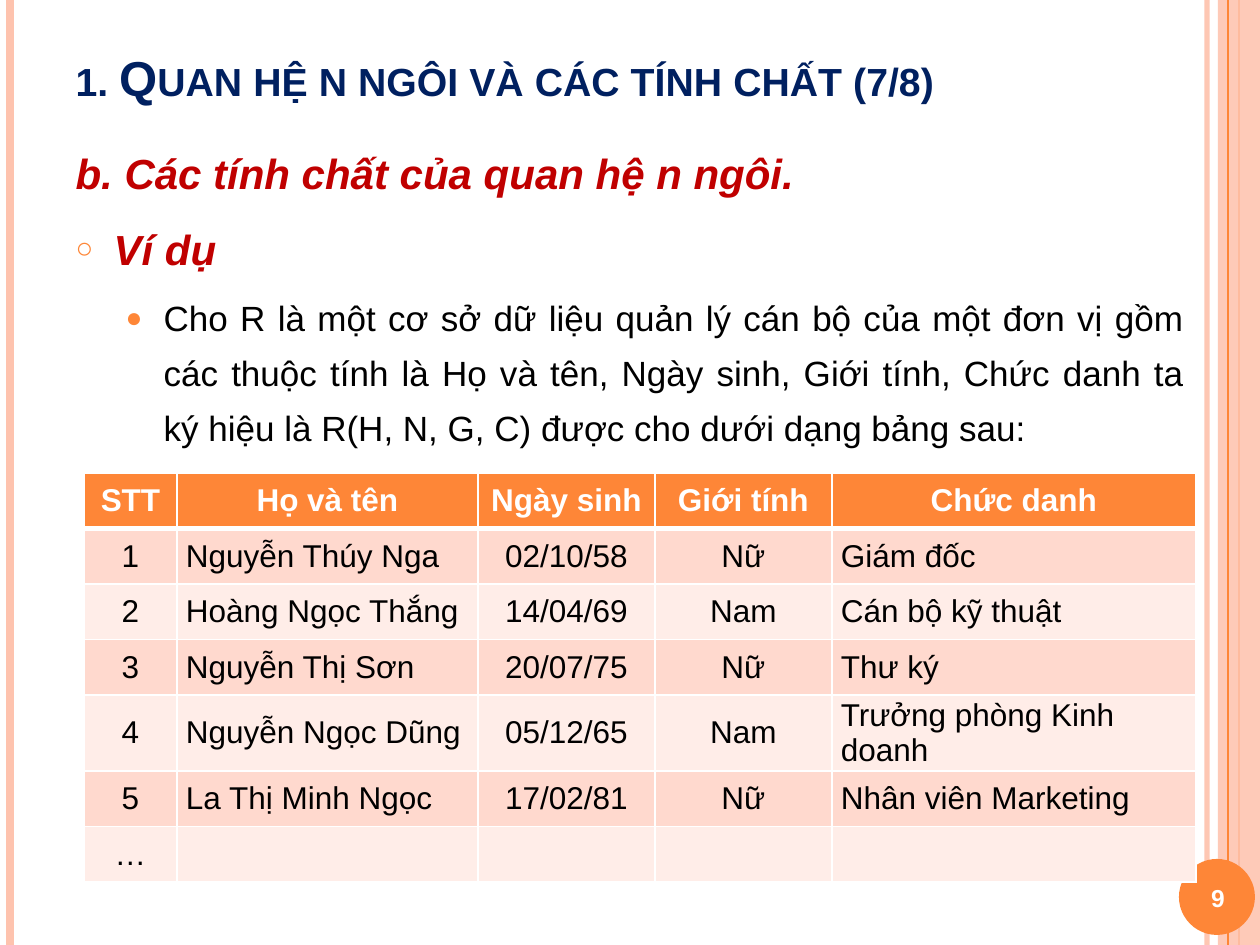
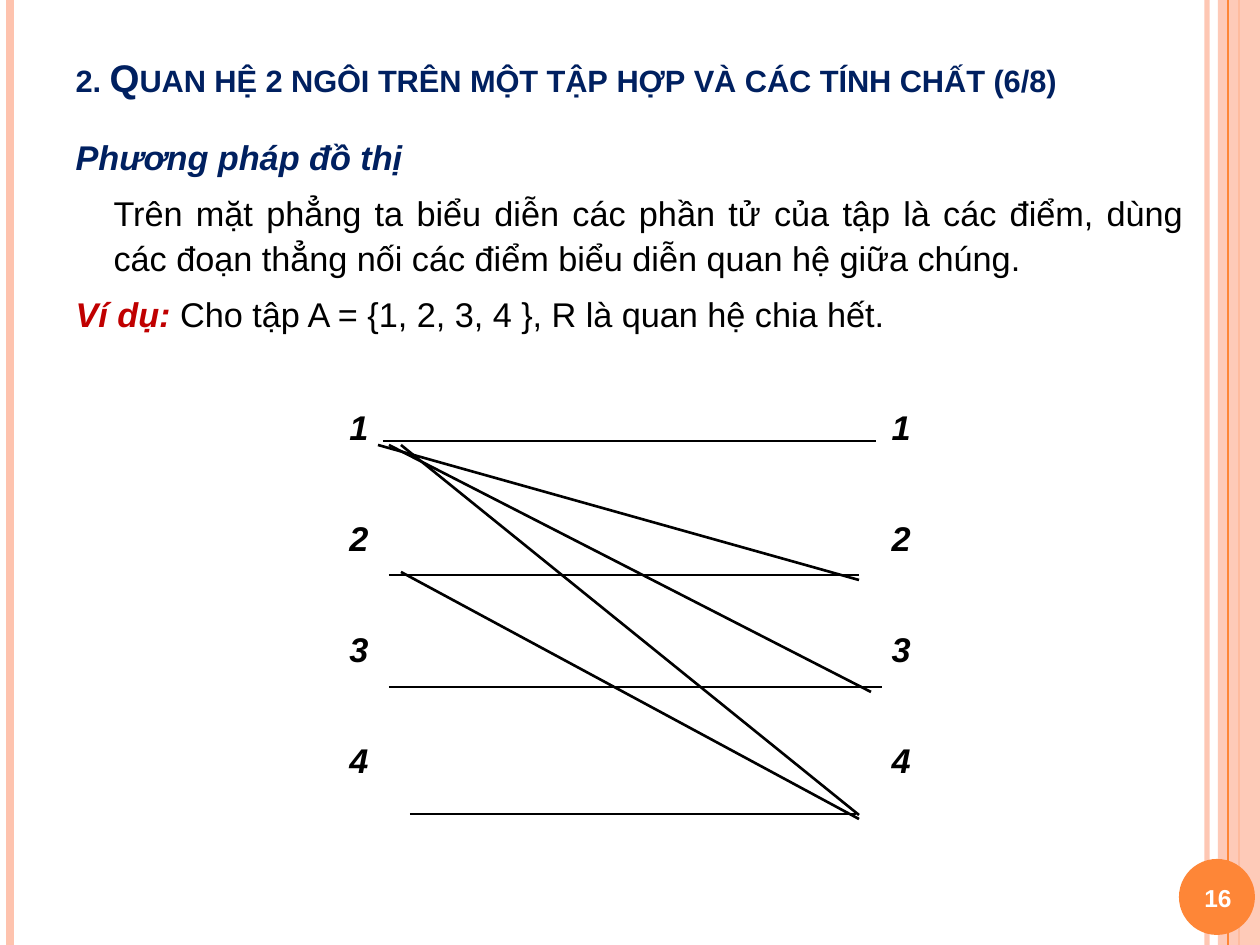
import pptx
import pptx.util
import pptx.dml.color
import pptx.enum.shapes
import pptx.enum.text
import pptx.oxml.ns
import lxml.etree

FONT = "Arial"
NAVY, RED, BLACK, WHITE = "002060", "C00000", "000000", "FFFFFF"
ORANGE, PEACH = "FE8637", "FEC3AE"
ROW_FILLS = ("FFEDE8", "FFD9CE")
SLIDE_WIDTH, SLIDE_HEIGHT = 1260, 945
PIXELS_PER_INCH = 126

TITLE_BOX = (63, 38, 1134, 78)
BODY_BOX = (63, 126, 1134, 766)
NUMBER_BOX = (1176, 862, 84, 72)
BADGE_BOX = (1179, 859, 76, 76)
SIDE_BAND_BOX = (1218, 0, 42, SLIDE_HEIGHT)
RULES_BEHIND_BAND = [(1207, PEACH, 3, 93), (10, PEACH, 4.5, 100), (1239, ORANGE, 1.5, 100)]
RULE_ON_BAND = (1228, ORANGE, 0.75, 100)

ALIGN = pptx.enum.text.PP_ALIGN
MIDDLE = pptx.enum.text.MSO_ANCHOR.MIDDLE
SHAPE = pptx.enum.shapes.MSO_SHAPE

HEADING = dict(size=24, color=RED, bold=True, italic=True)
PLAIN = dict(size=20, color=BLACK)
GRAPH_TEXT = dict(size=19.6, color=BLACK)
GRAPH_STRONG = dict(size=19.6, bold=True, italic=True)

RELATION = {
    "title": ("1. Quan hệ n ngôi và các tính chất (7/8)", 28),
    "number": "9",
    "line_spacing": 1.3,
    "body": [
        dict(runs=[("b. Các tính chất của quan hệ n ngôi.", HEADING)], left=38, hang=-38),
        dict(runs=[("Ví dụ", HEADING)], left=38, hang=-38, bullet=("○", 70)),
        dict(runs=[("Cho R là một cơ sở dữ liệu quản lý cán bộ của một đơn vị gồm các thuộc "
                    "tính là Họ và tên, Ngày sinh, Giới tính, Chức danh ta ký hiệu là "
                    "R(H, N, G, C) được cho dưới dạng bảng sau:", PLAIN)],
             left=88, hang=-38, level=1, bullet=("●", 80)),
    ],
}
STAFF_ROWS = [
    ("STT", "Họ và tên", "Ngày sinh", "Giới tính", "Chức danh"),
    ("1", "Nguyễn Thúy Nga", "02/10/58", "Nữ", "Giám đốc"),
    ("2", "Hoàng Ngọc Thắng", "14/04/69", "Nam", "Cán bộ kỹ thuật"),
    ("3", "Nguyễn Thị Sơn", "20/07/75", "Nữ", "Thư ký"),
    ("4", "Nguyễn Ngọc Dũng", "05/12/65", "Nam", "Trưởng phòng Kinh doanh"),
    ("5", "La Thị Minh Ngọc", "17/02/81", "Nữ", "Nhân viên Marketing"),
    ("…", "", "", "", ""),
]
STAFF_WIDTHS = (93, 301, 177, 177, 364)
STAFF_LEFT, STAFF_TOP, STAFF_HEIGHT = 84, 473, 389
LEFT_ALIGNED_COLUMNS = (1, 4)

GRAPH = {
    "title": ("2. Quan hệ 2 ngôi trên một tập hợp và các tính chất (6/8)", 22),
    "number": "16",
    "line_spacing": 1.1,
    "body": [
        dict(runs=[("Phương pháp đồ thị", dict(GRAPH_STRONG, color=NAVY))], left=38, hang=-38),
        dict(runs=[("Trên mặt phẳng ta biểu diễn các phần tử của tập là các điểm, dùng các đoạn "
                    "thẳng nối các điểm biểu diễn quan hệ giữa chúng.", GRAPH_TEXT)],
             left=38, hang=0),
        dict(runs=[("Ví dụ: ", dict(GRAPH_STRONG, color=RED)),
                   ("Cho tập A = {1, 2, 3, 4 }, R là quan hệ chia hết.", GRAPH_TEXT)],
             left=38, hang=-38),
    ],
}
ELEMENTS = ("1", "2", "3", "4")
ELEMENT_CENTERS_X = (359, 901)
FIRST_ELEMENT_Y, ELEMENT_STEP, ELEMENT_SIZE = 427, 111, 44
EDGES = [
    (383, 441, 876, 441), (378, 445, 859, 580), (389, 445, 871, 692), (401, 445, 859, 815),
    (389, 575, 859, 575), (401, 572, 859, 819), (389, 687, 882, 687), (410, 814, 856, 814),
]


def px(length):
    return pptx.util.Emu(round(length * 914400 / PIXELS_PER_INCH))


def rgb(value):
    return pptx.dml.color.RGBColor.from_string(value)


def add_xml(parent, tag, **attributes):
    return lxml.etree.SubElement(parent, pptx.oxml.ns.qn(tag), attributes)


def set_opacity(fill_owner, percent):
    if percent < 100:
        color = next(fill_owner.iter(pptx.oxml.ns.qn("a:srgbClr")))
        add_xml(color, "a:alpha", val=str(percent * 1000))


def add_run(paragraph, text, size=18, color=BLACK, bold=False, italic=False, small_caps=False):
    run = paragraph.add_run()
    run.text = text
    font = run.font
    font.name, font.size, font.bold, font.italic = FONT, pptx.util.Pt(size), bold, italic
    font.color.rgb = rgb(color)
    if small_caps:
        run._r.get_or_add_rPr().set("cap", "small")


def place(shape, box):
    shape.left, shape.top, shape.width, shape.height = map(px, box)


def add_label(slide, box, text, **text_format):
    frame = slide.shapes.add_textbox(*map(px, box)).text_frame
    frame.word_wrap = True
    frame.vertical_anchor = MIDDLE
    frame.margin_left = frame.margin_right = 0
    frame.paragraphs[0].alignment = ALIGN.CENTER
    add_run(frame.paragraphs[0], text, **text_format)


def add_line(shapes, ends, color, width, opacity=100):
    line = shapes.add_connector(pptx.enum.shapes.MSO_CONNECTOR.STRAIGHT, *map(px, ends))
    line.line.color.rgb = rgb(color)
    line.line.width = pptx.util.Pt(width)
    set_opacity(line._element, opacity)
    add_xml(line._element.spPr, "a:effectLst")
    return line


def add_solid(shapes, kind, box, color, opacity=100):
    shape = shapes.add_shape(kind, *map(px, box))
    shape.shadow.inherit = False
    shape.fill.solid()
    shape.fill.fore_color.rgb = rgb(color)
    shape.line.fill.background()
    set_opacity(shape._element.spPr, opacity)
    return shape


def add_rule(shapes, x, color, width, opacity):
    return add_line(shapes, (x, 0, x, SLIDE_HEIGHT), color, width, opacity)


def decorate_master(master, slide):
    shapes = slide.shapes
    decorations = [add_rule(shapes, *rule) for rule in RULES_BEHIND_BAND]
    decorations.append(add_solid(shapes, SHAPE.RECTANGLE, SIDE_BAND_BOX, PEACH, 87))
    decorations.append(add_rule(shapes, *RULE_ON_BAND))
    decorations.append(add_solid(shapes, SHAPE.OVAL, BADGE_BOX, ORANGE))
    tree = master.element.cSld.spTree
    for position, decoration in enumerate(decorations, start=2):
        tree.insert(position, decoration._element)


def format_paragraph(paragraph, line_spacing, left, hang, level=0, bullet=None):
    paragraph.level = level
    paragraph.alignment = ALIGN.JUSTIFY
    paragraph.line_spacing = line_spacing
    paragraph.space_before = paragraph.space_after = pptx.util.Pt(3)
    properties = paragraph._p.get_or_add_pPr()
    properties.set("marL", str(px(left)))
    properties.set("indent", str(px(hang)))
    if bullet is None:
        add_xml(properties, "a:buNone")
        return
    character, percent = bullet
    add_xml(add_xml(properties, "a:buClr"), "a:srgbClr", val=ORANGE)
    add_xml(properties, "a:buSzPct", val=str(percent * 1000))
    add_xml(properties, "a:buFont", typeface=FONT)
    add_xml(properties, "a:buChar", char=character)


def fill_slide(slide, content):
    title, body = slide.shapes.title, slide.placeholders[1]
    place(title, TITLE_BOX)
    place(body, BODY_BOX)
    for placeholder in (title, body):
        placeholder.text_frame.auto_size = pptx.enum.text.MSO_AUTO_SIZE.NONE
    title.text_frame.vertical_anchor = MIDDLE
    heading = title.text_frame.paragraphs[0]
    heading.alignment = ALIGN.LEFT
    text, size = content["title"]
    add_run(heading, text, size=size, color=NAVY, bold=True, small_caps=True)
    for index, item in enumerate(content["body"]):
        frame = body.text_frame
        paragraph = frame.add_paragraph() if index else frame.paragraphs[0]
        layout = {key: value for key, value in item.items() if key != "runs"}
        format_paragraph(paragraph, content["line_spacing"], **layout)
        for text, text_format in item["runs"]:
            add_run(paragraph, text, **text_format)
    add_label(slide, NUMBER_BOX, content["number"], size=14, color=WHITE, bold=True)


def set_borders(cell, top, bottom):
    properties = cell._tc.get_or_add_tcPr()
    widths = (("a:lnL", 1), ("a:lnR", 1), ("a:lnT", top), ("a:lnB", bottom))
    for position, (tag, width) in enumerate(widths):
        border = add_xml(properties, tag, w=str(pptx.util.Pt(width)))
        add_xml(add_xml(border, "a:solidFill"), "a:srgbClr", val=WHITE)
        properties.insert(position, border)


def add_staff_table(slide):
    box = (STAFF_LEFT, STAFF_TOP, sum(STAFF_WIDTHS), STAFF_HEIGHT)
    table = slide.shapes.add_table(len(STAFF_ROWS), len(STAFF_WIDTHS), *map(px, box)).table
    for column, width in zip(table.columns, STAFF_WIDTHS):
        column.width = px(width)
    for row_index, row in enumerate(STAFF_ROWS):
        header = row_index == 0
        table.rows[row_index].height = px(STAFF_HEIGHT) // len(STAFF_ROWS)
        for column_index, text in enumerate(row):
            cell = table.cell(row_index, column_index)
            cell.fill.solid()
            cell.fill.fore_color.rgb = rgb(ORANGE if header else ROW_FILLS[row_index % 2])
            cell.vertical_anchor = MIDDLE
            if not header and column_index:
                cell.margin_left = cell.margin_right = px(9)
                cell.margin_top = cell.margin_bottom = 0
            set_borders(cell, top=3 if row_index == 1 else 1, bottom=3 if header else 1)
            if text:
                paragraph = cell.text_frame.paragraphs[0]
                to_left = not header and column_index in LEFT_ALIGNED_COLUMNS
                paragraph.alignment = ALIGN.LEFT if to_left else ALIGN.CENTER
                add_run(paragraph, text, color=WHITE if header else BLACK, bold=header)


def add_divisibility_graph(slide):
    for index, element in enumerate(ELEMENTS):
        top = FIRST_ELEMENT_Y + index * ELEMENT_STEP - ELEMENT_SIZE // 2
        for center in ELEMENT_CENTERS_X:
            box = (center - ELEMENT_SIZE // 2, top, ELEMENT_SIZE, ELEMENT_SIZE)
            add_label(slide, box, element, **GRAPH_STRONG)
    edges = slide.shapes.add_group_shape()
    for ends in EDGES:
        add_line(edges.shapes, ends, BLACK, 1.5)


def main():
    presentation = pptx.Presentation()
    presentation.slide_width, presentation.slide_height = px(SLIDE_WIDTH), px(SLIDE_HEIGHT)
    layout = presentation.slide_layouts[1]
    relation_slide = presentation.slides.add_slide(layout)
    decorate_master(presentation.slide_master, relation_slide)
    fill_slide(relation_slide, RELATION)
    add_staff_table(relation_slide)
    graph_slide = presentation.slides.add_slide(layout)
    fill_slide(graph_slide, GRAPH)
    add_divisibility_graph(graph_slide)
    presentation.save("out.pptx")


if __name__ == "__main__":
    main()
